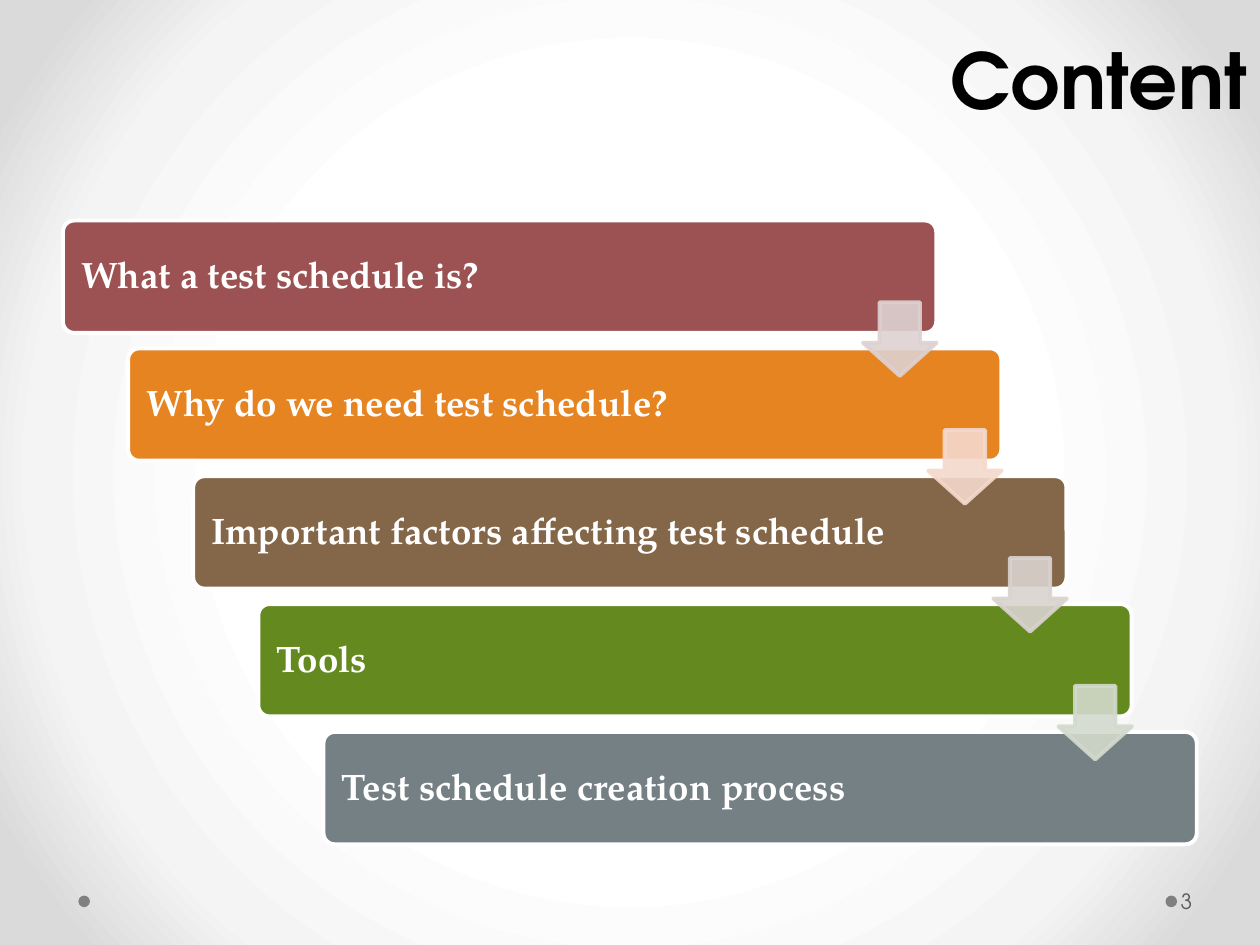
from dataclasses import dataclass

from lxml.etree import SubElement
from pptx import Presentation
from pptx.dml.color import RGBColor
from pptx.enum.shapes import MSO_SHAPE as Preset
from pptx.enum.text import MSO_ANCHOR as Anchor, PP_ALIGN as Align
from pptx.oxml import parse_xml
from pptx.oxml.ns import nsdecls, qn
from pptx.util import Pt

COLORS = {
    "white": "FFFFFF", "black": "000000", "dot": "808080", "number": "595959",
    "red": "9C5252", "orange": "E68422", "brown": "846648",
    "green": "63891F", "slate": "758085",
    "red_tint": "DED1D1", "orange_tint": "F5D9CD",
    "brown_tint": "D9D3CF", "green_tint": "D3DACD",
}
BACKDROP_STOPS = {50: "FFFFFF", 76: "F4F4F4", 92: "DADADA"}
HEADING_FONT, BODY_FONT = "TeX Gyre Adventor", "TeX Gyre Pagella"

# Staircase geometry in points
STEP_X, STEP_Y = 37.22, 73.06
BAR_LEFT, BAR_TOP, BAR_WIDTH, BAR_HEIGHT = 36, 126, 499, 64.2
ARROW_LEFT, ARROW_TOP, ARROW_SIZE = 493.2, 172.8, 42


@dataclass
class Step:
    topic: str
    color: str
    arrow_color: str = ""


@dataclass
class Box:
    left: float
    top: float
    width: float
    height: float

    def lengths(self):
        return [Pt(v) for v in (self.left, self.top, self.width, self.height)]


STEPS = [
    Step("What a test schedule is?", "red", "red_tint"),
    Step("Why do we need test schedule?", "orange", "orange_tint"),
    Step("Important factors affecting test schedule", "brown", "brown_tint"),
    Step("Tools", "green", "green_tint"),
    Step("Test schedule creation process", "slate"),
]


def rgb(color: str) -> RGBColor:
    return RGBColor.from_string(COLORS[color])


def draw_shape(slide, preset, box: Box, fill: str, line: str = "", adjust=()):
    shape = slide.shapes.add_shape(preset, *box.lengths())
    shape.shadow.inherit = False
    shape.fill.solid()
    shape.fill.fore_color.rgb = rgb(fill)
    if line:
        shape.line.color.rgb = rgb(line)
        shape.line.width = Pt(2.25)
    else:
        shape.line.fill.background()
    for index, value in enumerate(adjust):
        shape.adjustments[index] = value
    return shape


def write(shape, text: str, color: str, font: dict, margins=(), **layout) -> None:
    frame = shape.text_frame
    frame.word_wrap = True
    frame.vertical_anchor = Anchor.MIDDLE
    for side, margin in zip(("left", "top", "right", "bottom"), margins):
        setattr(frame, f"margin_{side}", Pt(margin))
    paragraph = frame.paragraphs[0]
    for name, value in layout.items():
        setattr(paragraph, name, value)
    run = paragraph.add_run()
    run.text = text
    for name, value in font.items():
        setattr(run.font, name, value)
    run.font.color.rgb = rgb(color)


def draw_bar(slide, index: int, step: Step) -> None:
    box = Box(BAR_LEFT + index * STEP_X, BAR_TOP + index * STEP_Y, BAR_WIDTH, BAR_HEIGHT)
    bar = draw_shape(slide, Preset.ROUNDED_RECTANGLE, box, step.color, "white", [0.1])
    write(bar, step.topic, "white", {"name": BODY_FONT, "size": Pt(21), "bold": True},
          (8.6, 8.4, 74, 8.4), alignment=Align.LEFT, line_spacing=0.9)


def draw_arrow(slide, index: int, step: Step) -> None:
    box = Box(ARROW_LEFT + index * STEP_X, ARROW_TOP + index * STEP_Y, ARROW_SIZE, ARROW_SIZE)
    arrow = draw_shape(slide, Preset.DOWN_ARROW, box, step.arrow_color, step.arrow_color,
                       [0.55, 0.45])
    # Fill and line are both 90% opaque
    for tint in arrow.element.spPr.iter(qn("a:srgbClr")):
        SubElement(tint, qn("a:alpha"), val="90000")


def paint_background(slide) -> None:
    slide.background.fill.solid()
    solid = slide.element.find(".//" + qn("a:solidFill"))
    stops = "".join(f'<a:gs pos="{pos * 1000}"><a:srgbClr val="{color}"/></a:gs>'
                    for pos, color in BACKDROP_STOPS.items())
    gradient = parse_xml(
        f'<a:gradFill {nsdecls("a")} rotWithShape="1"><a:gsLst>{stops}</a:gsLst>'
        '<a:path path="circle"><a:fillToRect l="50000" t="50000" r="50000" b="50000"/>'
        '</a:path></a:gradFill>')
    solid.getparent().replace(solid, gradient)


def main() -> None:
    deck = Presentation()
    deck.slide_width, deck.slide_height = Pt(720), Pt(540)
    slide = deck.slides.add_slide(deck.slide_layouts[6])
    paint_background(slide)

    # Footer dots
    for left in (666, 44.8):
        draw_shape(slide, Preset.OVAL, Box(left, 511.8, 6.6, 6.6), "dot")

    # Staircase of topics, arrows on top
    for index, step in enumerate(STEPS):
        draw_bar(slide, index, step)
    for index, step in enumerate(STEPS[:-1]):
        draw_arrow(slide, index, step)

    # Title and slide number
    title = slide.shapes.add_textbox(*Box(72, 0, 648, 90).lengths())
    write(title, "Content", "black",
          {"name": HEADING_FONT, "size": Pt(44), "bold": True}, alignment=Align.RIGHT)
    number = slide.shapes.add_textbox(*Box(672.5, 500.4, 43.9, 28.8).lengths())
    write(number, "3", "number", {"name": HEADING_FONT, "size": Pt(12)},
          (2.2, 3.6, 3.6, 3.6))

    deck.save("out.pptx")


if __name__ == "__main__":
    main()
